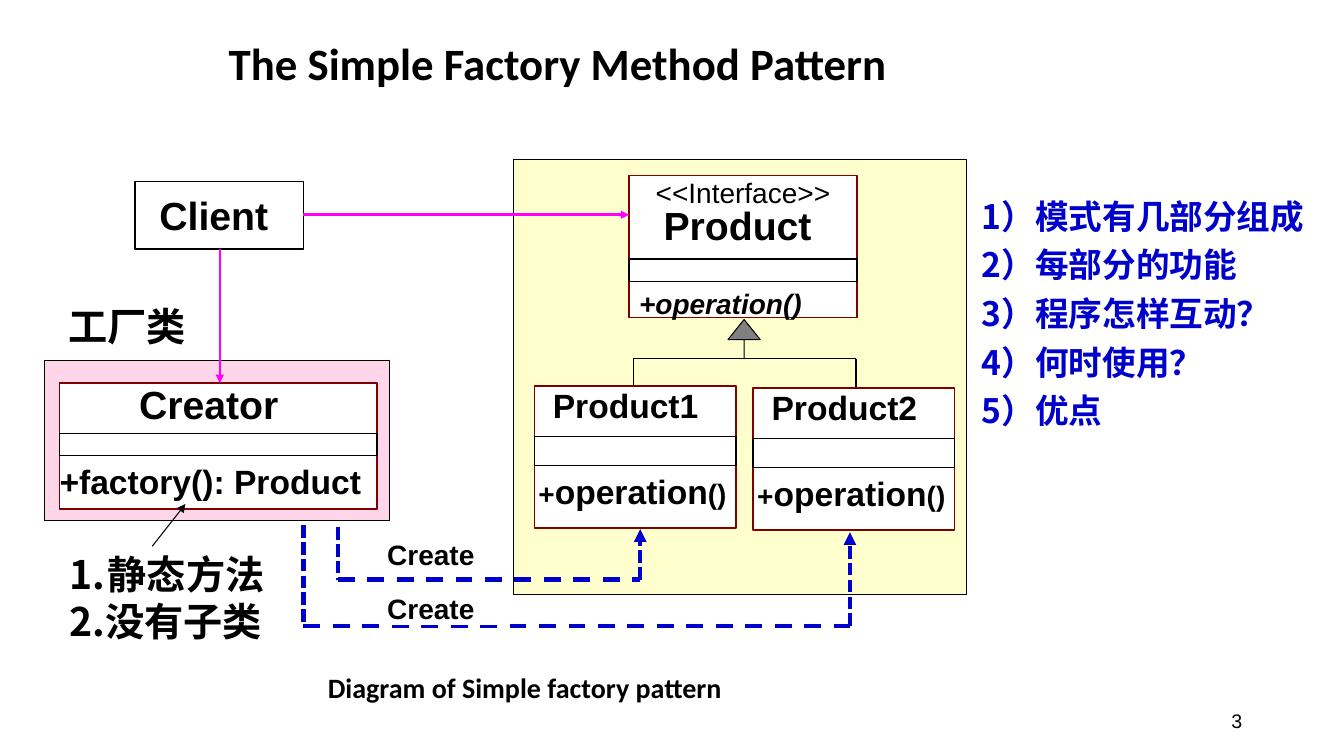
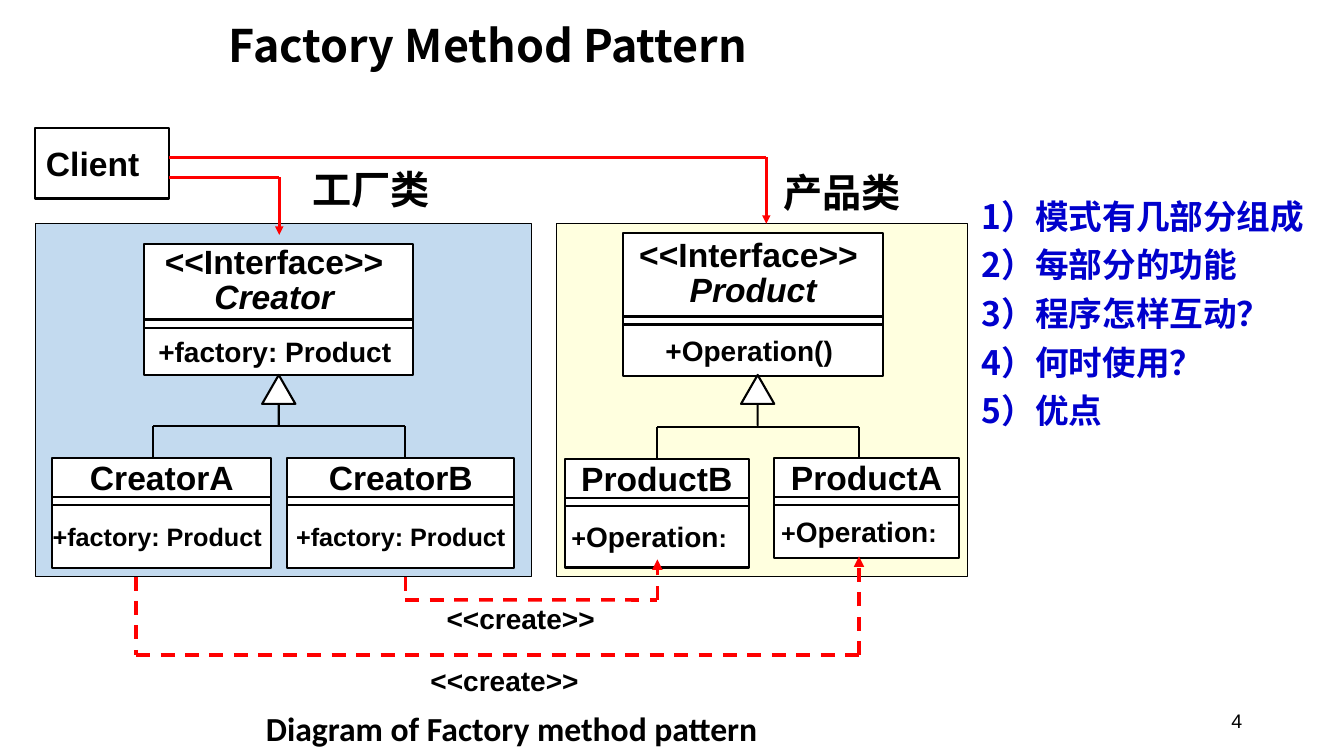
import pptx
import pptx.util
import pptx.dml.color
from lxml import etree
from pptx.enum.dml import MSO_LINE
from pptx.enum.shapes import MSO_CONNECTOR, MSO_SHAPE
from pptx.enum.text import MSO_ANCHOR, PP_ALIGN
from pptx.oxml.ns import qn

Inches, Pt = pptx.util.Inches, pptx.util.Pt

BLACK, WHITE, BLUE, RED = "000000", "FFFFFF", "0000CC", "FF0000"
MAROON, MAGENTA, GRAY = "800000", "FF00FF", "808080"
PINK, YELLOW, SKY = "FF99CC", "FFFF99", "5B9BD5"
ARIAL, CALIBRI, CJK = "Arial", "Calibri", "Noto Sans CJK SC"
LEFT, CENTER, RIGHT = PP_ALIGN.LEFT, PP_ALIGN.CENTER, PP_ALIGN.RIGHT
TOP, MIDDLE = MSO_ANCHOR.TOP, MSO_ANCHOR.MIDDLE
DASH, SYS_DASH = MSO_LINE.DASH, MSO_LINE.SQUARE_DOT
CJK_LEADING = 1.2
QUESTIONS = ["1）模式有几部分组成", "2）每部分的功能", "3）程序怎样互动？",
             "4）何时使用？", "5）优点"]


def rgb(value):
    return pptx.dml.color.RGBColor.from_string(value)


def inches(*lengths):
    return [Inches(length) for length in lengths]


# Text: each paragraph is a list of runs, each run is (text, size, style)
def write(shape, paragraphs, font=ARIAL, color=BLACK, align=LEFT, anchor=TOP,
          insets=(0.1, 0.05, 0.1, 0.05), wrap=True, spacing=None, before=0):
    frame = shape.text_frame
    frame.word_wrap = wrap
    frame.vertical_anchor = anchor
    (frame.margin_left, frame.margin_top,
     frame.margin_right, frame.margin_bottom) = inches(*insets)
    for index, runs in enumerate(paragraphs):
        paragraph = frame.paragraphs[0] if index == 0 else frame.add_paragraph()
        paragraph.alignment = align
        paragraph.space_before = Pt(before if index else 0)
        if spacing:
            paragraph.line_spacing = spacing
        for text, size, style in runs:
            run = paragraph.add_run()
            run.text = text
            run.font.size = Pt(size)
            run.font.bold = "b" in style
            run.font.italic = "i" in style
            run.font.color.rgb = rgb(color)
            run.font.name = font
            east_asian = etree.SubElement(run.font._element, qn("a:ea"))
            east_asian.set("typeface", CJK)


def text_box(slide, box, paragraphs, **style):
    shape = slide.shapes.add_textbox(*inches(*box))
    write(shape, paragraphs, **style)
    return shape


# Shapes and lines
def add_shape(slide, box, fill=WHITE, line=BLACK, width=1.0, opacity=None,
              kind=MSO_SHAPE.RECTANGLE):
    shape = slide.shapes.add_shape(kind, *inches(*box))
    shape.shadow.inherit = False
    shape.fill.solid()
    shape.fill.fore_color.rgb = rgb(fill)
    if opacity:
        fill_color = shape._element.spPr.find(".//" + qn("a:srgbClr"))
        etree.SubElement(fill_color, qn("a:alpha")).set("val", str(opacity * 1000))
    if line:
        shape.line.color.rgb = rgb(line)
        shape.line.width = Pt(width)
    else:
        shape.line.fill.background()
    return shape


def add_line(slide, start, end, color=BLACK, width=0.75, dash=None, arrow=False):
    connector = slide.shapes.add_connector(
        MSO_CONNECTOR.STRAIGHT, *inches(*start, *end))
    connector.line.color.rgb = rgb(color)
    connector.line.width = Pt(width)
    if dash:
        connector.line.dash_style = dash
    if arrow:
        line = connector.line._get_or_add_ln()
        etree.SubElement(line, qn("a:tailEnd")).set("type", "triangle")
    etree.SubElement(connector._element.spPr, qn("a:effectLst"))


def route(slide, points, color, width, upright=None, level=None):
    """Draw a bent line through the points, with an arrowhead at the last."""
    for index, (start, end) in enumerate(zip(points, points[1:])):
        dash = upright if start[0] == end[0] else level
        add_line(slide, start, end, color, width, dash, index == len(points) - 2)


def label(slide, box, text, size=20, spacing=None):
    shape = add_shape(slide, box, line=None)
    write(shape, [[(text, size, "b")]], insets=(0, 0, 0, 0), spacing=spacing)


def heading(slide, left, top, text):
    label(slide, (left, top, 1.25, 0.47), text, 28, Pt(28 * CJK_LEADING))


# UML parts
def uml_class(slide, left, top, width, heights, name, operations, line=BLACK,
              weight=1.5, side=0, edge=0, name_pad=0, operations_pad=0,
              spacing=None, operations_align=CENTER, anchor=MIDDLE, wrap=False):
    """Stack the name, attribute and operation compartments."""
    name_height, gap, operations_height = heights
    gap_top = top + name_height
    operations_top = gap_top + gap
    compartments = [
        (top, name_height, name, CENTER, name_pad, spacing),
        (operations_top, operations_height, operations, operations_align,
         operations_pad, None)]
    for box_top, height, paragraphs, align, pad, leading in compartments:
        shape = add_shape(slide, (left, box_top, width, height),
                          line=line, width=weight)
        write(shape, paragraphs, align=align, anchor=anchor, wrap=wrap,
              insets=(side, edge, side + pad, edge), spacing=leading)
    add_shape(slide, (left, gap_top, width, gap), width=weight)


def inheritance(slide, arrow_box, head, fill, bar_top, children, width):
    """Draw the hollow arrow, the bar and a drop to each (x, top) child."""
    arrow = add_shape(slide, arrow_box, fill=fill, width=width,
                      kind=MSO_SHAPE.UP_ARROW)
    arrow.adjustments[0], arrow.adjustments[1] = 0, head
    add_line(slide, (children[0][0], bar_top), (children[-1][0], bar_top),
             width=width)
    for x, top in children:
        add_line(slide, (x, bar_top), (x, top), width=width)


# Parts that the slides share
def base_slide(presentation, number, title, title_box, title_font,
               caption, caption_box, caption_size, caption_spacing):
    slide = presentation.slides.add_slide(presentation.slide_layouts[6])
    text_box(slide, (9.42, 6.95, 3, 0.4), [[(str(number), 14, "")]],
             align=RIGHT, anchor=MIDDLE)
    text_box(slide, title_box, [[(title, 32, "b")]], font=title_font,
             anchor=MIDDLE, spacing=0.9)
    text_box(slide, caption_box, [[(caption, caption_size, "b")]],
             font=CALIBRI, align=CENTER, spacing=caption_spacing)
    text_box(slide, (9.64, 1.89, 3.45, 2.46),
             [[(question, 24, "b")] for question in QUESTIONS],
             font=CJK, color=BLUE, spacing=Pt(24 * CJK_LEADING), before=6)
    return slide


def factory_notes(slide, box):
    notes = text_box(slide, box, [[("静态方法", 28, "b")], [("2.没有子类", 28, "b")]],
                     font=CJK, spacing=Pt(28 * CJK_LEADING))
    for index, paragraph in enumerate(notes.text_frame.paragraphs):
        properties = paragraph._p.get_or_add_pPr()
        properties.set("marL", str(Inches(0.38)))
        properties.set("indent", str(-Inches(0.38)))
        if index == 0:
            etree.SubElement(properties, qn("a:buFont")).set("typeface", CJK)
            numbering = etree.SubElement(properties, qn("a:buAutoNum"))
            numbering.set("type", "arabicPeriod")


def simple_factory_slide(presentation):
    slide = base_slide(
        presentation, 3, "The Simple Factory Method Pattern", (2.17, 0.3, 9, 0.7),
        CALIBRI, "Diagram of Simple factory pattern", (2.02, 6.67, 6.37, 0.42),
        20, 0.8)
    outlined = dict(line=MAROON, weight=1, edge=0.05, spacing=0.85,
                    operations_align=LEFT, anchor=TOP, wrap=True)

    # Panels
    add_shape(slide, (0.44, 3.58, 3.42, 1.58), PINK, width=0.75, opacity=41)
    add_shape(slide, (5.09, 1.58, 4.5, 4.32), YELLOW, width=0.75, opacity=48)

    # Product side
    uml_class(slide, 6.24, 1.74, 2.26, (0.83, 0.22, 0.36),
              [[("<<Interface>>", 20, "")], [("Product ", 28, "b")]],
              [[("+operation()", 20, "bi")]], side=0.1, **outlined)
    inheritance(slide, (7.22, 3.17, 0.32, 0.39), 0.62, GRAY, 3.56,
                [(6.28, 3.83), (8.49, 3.85)], 0.75)
    for left, top, name in [(5.3, 3.83, "Product1"), (7.47, 3.85, "Product2")]:
        uml_class(slide, left, top, 2, (0.5, 0.29, 0.62), [[(name, 24, "b")]],
                  [[("+", 20, "b"), ("operation", 24, "b"), ("()", 20, "b")]],
                  side=0.04, name_pad=0.19, **outlined)

    # Factory side
    heading(slide, 0.68, 3, "工厂类")
    uml_class(slide, 0.59, 3.8, 3.15, (0.5, 0.22, 0.53), [[("Creator", 28, "b")]],
              [[("+factory(): Product", 24, "b")]], name_pad=0.19, **outlined)
    factory_notes(slide, (0.59, 5.41, 2.92, 1.03))
    add_line(slide, (1.51, 5.42), (1.84, 5), arrow=True)

    # Client and its calls
    client = add_shape(slide, (1.34, 1.8, 1.67, 0.67))
    write(client, [[("Client ", 28, "b")]], align=CENTER, anchor=MIDDLE, wrap=False)
    route(slide, [(2.18, 2.47), (2.18, 3.8)], MAGENTA, 1.75)
    route(slide, [(3.01, 2.13), (6.24, 2.13)], MAGENTA, 1.75)

    # Creation
    for start, end, top, bottom, tip in [(3.35, 6.35, 5.23, 5.75, 5.25),
                                         (3.01, 8.43, 5.21, 6.21, 5.28)]:
        route(slide, [(start, top), (start, bottom), (end, bottom), (end, tip)],
              BLUE, 3, SYS_DASH, DASH)
    for top in (5.33, 5.87):
        label(slide, (3.84, top, 1.13, 0.33), "Create")


def factory_method_slide(presentation):
    slide = base_slide(
        presentation, 4, "Factory Method Pattern", (2.17, 0.17, 9, 0.62), CJK,
        "Diagram of Factory method pattern", (1.93, 7.08, 6.29, 0.42), 24, 0.7)

    # Panels
    for left, width, fill, opacity in [(0.35, 4.92, SKY, 36),
                                       (5.52, 4.08, YELLOW, 31)]:
        add_shape(slide, (left, 2.22, width, 3.5), fill, width=0.75,
                  opacity=opacity)

    # Interfaces
    for left, top, width, heights, name, operation in [
            (1.43, 2.42, 2.67, (0.75, 0.08, 0.47), "Creator ", "+factory: Product "),
            (6.18, 2.31, 2.58, (0.83, 0.08, 0.51), "Product", "+Operation() ")]:
        uml_class(slide, left, top, width, heights,
                  [[("<<Interface>> ", 24, "b")], [(name, 24, "bi")]],
                  [[(operation, 20, "b")]], spacing=0.85)
    for arrow_left, bar_top, children in [
            (2.6, 4.23, [(1.52, 4.54), (4.02, 4.54)]),
            (7.35, 4.24, [(6.52, 4.55), (8.52, 4.54)])]:
        inheritance(slide, (arrow_left, 3.72, 0.33, 0.5), 0.87, WHITE, bar_top,
                    children, 1.5)

    # Concrete classes
    operation = [("+", 18, "b"), ("Operation", 20, "b"), (":", 18, "b")]
    factory = [("+factory: Product", 18, "b")]
    for left, top, width, height, name, runs, pad in [
            (0.52, 4.54, 2.17, 0.63, "CreatorA", factory, 0.09),
            (2.85, 4.54, 2.25, 0.63, "CreatorB", factory, 0),
            (5.6, 4.55, 1.83, 0.61, "ProductB", operation, 0.15),
            (7.68, 4.54, 1.83, 0.53, "ProductA", operation, 0.15)]:
        uml_class(slide, left, top, width, (0.39, 0.08, height),
                  [[(name, 24, "b")]], [runs], operations_pad=pad)

    # Client and its calls
    client = add_shape(slide, (0.35, 1.27, 1.33, 0.7), width=1.5)
    write(client, [[("Client", 24, "b")]], align=CENTER, anchor=MIDDLE,
          wrap=False, insets=(0.1, 0.05, 0.29, 0.05))
    for level, x, tip in [(1.76, 2.77, 2.33), (1.56, 7.6, 2.22)]:
        route(slide, [(1.68, level), (x, level), (x, tip)], RED, 2)

    # Creation
    for start, end, top, bottom, tip in [(4.02, 6.52, 5.72, 5.95, 5.55),
                                         (1.35, 8.52, 5.72, 6.5, 5.52)]:
        route(slide, [(start, top), (start, bottom), (end, bottom), (end, tip)],
              RED, 2.5, DASH, DASH)
    for left, top in [(4.43, 5.97), (4.27, 6.58)]:
        label(slide, (left, top, 1.83, 0.33), "<<create>>")

    # Panel headings
    heading(slide, 3.1, 1.64, "工厂类")
    heading(slide, 7.77, 1.67, "产品类")


def main():
    presentation = pptx.Presentation()
    presentation.slide_width, presentation.slide_height = inches(13.33, 7.5)
    simple_factory_slide(presentation)
    factory_method_slide(presentation)
    presentation.save("out.pptx")


if __name__ == "__main__":
    main()
